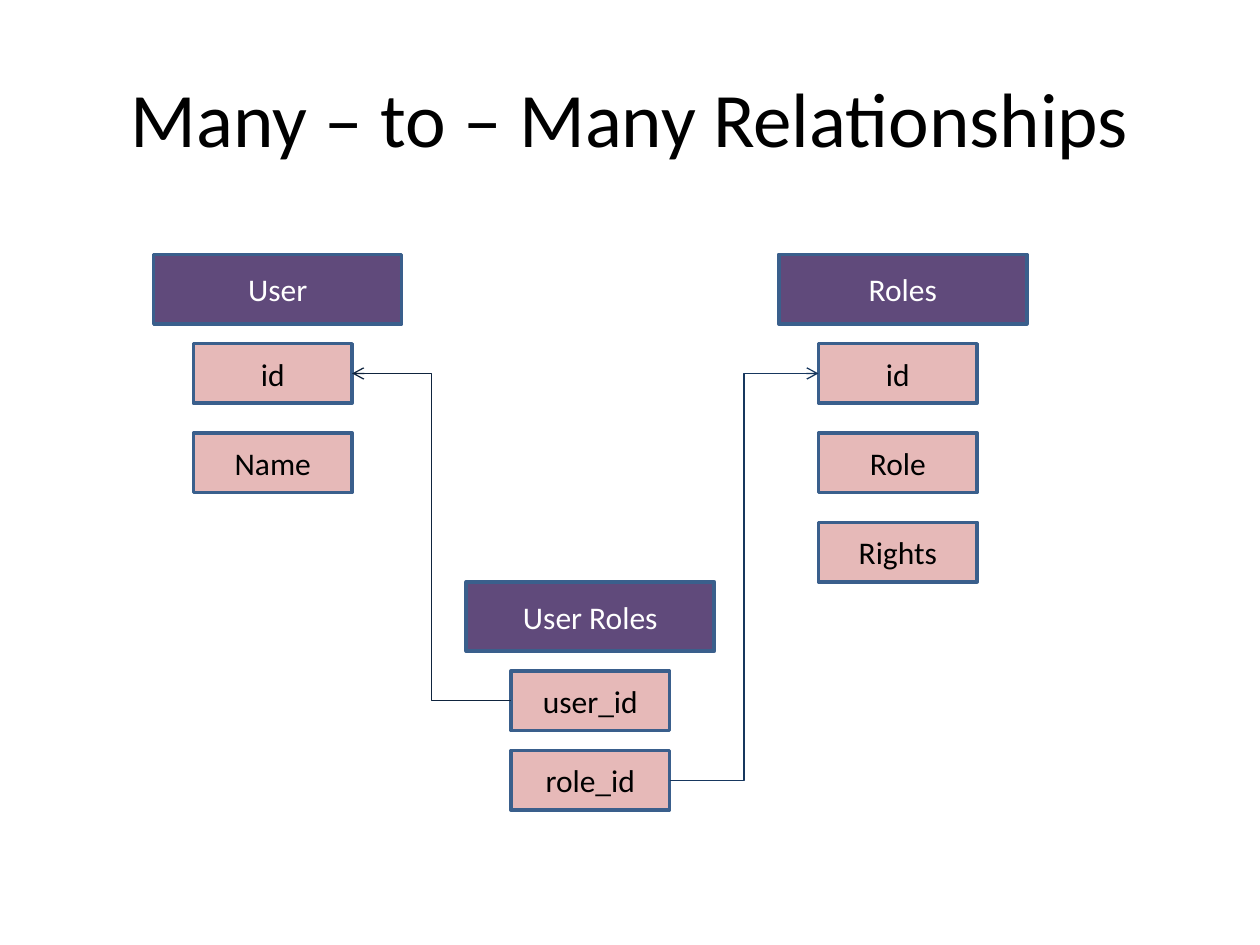
"""Build a slide of a many-to-many relationship between users and roles."""
from lxml import etree
from pptx import Presentation
from pptx import util as u
from pptx.dml.color import RGBColor
from pptx.enum import shapes, text
from pptx.oxml.ns import qn


def paint(fmt, color):
    fmt.solid()
    fmt.fore_color.rgb = RGBColor.from_string(color)


def write(shape, words, size, color):
    frame = shape.text_frame
    look = {"word_wrap": True, "vertical_anchor": text.MSO_ANCHOR.MIDDLE}
    for key, val in look.items():
        setattr(frame, key, val)
    para = frame.paragraphs[0]
    para.text = words
    para.alignment = text.PP_ALIGN.CENTER
    font = para.runs[0].font
    for key, val in {"name": "Calibri", "size": u.Pt(size)}.items():
        setattr(font, key, val)
    paint(font.fill, color)


deck = Presentation()
deck.slide_width, deck.slide_height = u.Cm(25.4), u.Cm(19.05)
slide = deck.slides.add_slide(deck.slide_layouts[6])

title = slide.shapes.add_textbox(u.Cm(1.27), u.Cm(0.76), u.Cm(22.86), u.Cm(3.18))
write(title, "Many – to – Many Relationships", 44, "000000")

# name, left, top, field indent, field step, fields
tables = [
    ("User", 3.1, 5.13, 0.8, 1.8, ["id", "Name"]),
    ("Roles", 15.7, 5.13, 0.8, 1.8, ["id", "Role", "Rights"]),
    ("User Roles", 9.4, 11.73, 0.9, 1.6, ["user_id", "role_id"]),
]
boxes = {}
for name, left, top, indent, step, fields in tables:
    rows = [(name, left, top, 5, 1.4, "604A7B", "FFFFFF")]
    for i, field in enumerate(fields):
        y = top + 1.8 + i * step
        rows.append((field, left + indent, y, 3.2, 1.2, "E6B9B8", "000000"))
    for label, x, y, wide, high, fill, ink in rows:
        box = slide.shapes.add_shape(
            shapes.MSO_SHAPE.RECTANGLE, u.Cm(x), u.Cm(y), u.Cm(wide), u.Cm(high))
        box.shadow.inherit = False
        paint(box.fill, fill)
        paint(box.line.fill, "3A5F8C")
        box.line.width = u.Pt(2)
        write(box, label, 18, ink)
        boxes[name, label] = box

links = [
    ("user_id", 1, "User", 3, "0F243E"),
    ("role_id", 3, "Roles", 1, "17375E"),
]
for key, start, table, end, color in links:
    link = slide.shapes.add_connector(shapes.MSO_CONNECTOR.ELBOW, 0, 0, 0, 0)
    link.begin_connect(boxes["User Roles", key], start)
    link.end_connect(boxes[table, "id"], end)
    paint(link.line.fill, color)
    link.line.width = u.Pt(0.75)
    etree.SubElement(link.line._get_or_add_ln(), qn("a:tailEnd"), type="arrow")
    etree.SubElement(link._element.spPr, qn("a:effectLst"))

deck.save("out.pptx")
